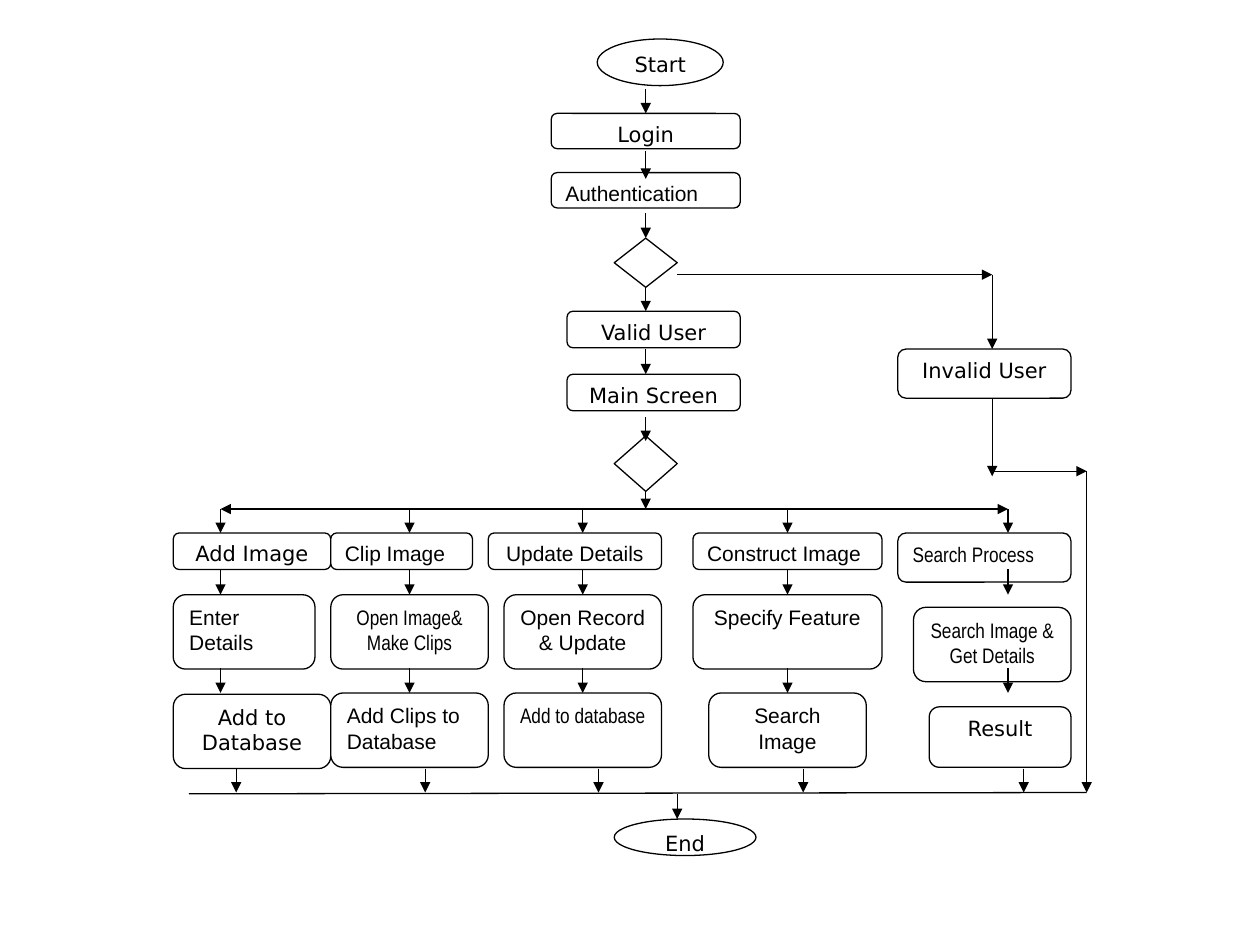
from typing import NamedTuple

from lxml.etree import SubElement
from pptx import Presentation
from pptx.dml.color import RGBColor
from pptx.enum.shapes import MSO_CONNECTOR, MSO_SHAPE
from pptx.enum.text import MSO_ANCHOR, PP_ALIGN
from pptx.oxml.ns import qn
from pptx.util import Inches, Pt

COL = Inches(10) / 80
ROW = Inches(7.5) / 75
INK = "000000"
PAPER = "FFFFFF"
SANS = "DejaVu Sans"
ARIAL = "Arial"
SLIM = "Arial Narrow"
MID = PP_ALIGN.CENTER
LEFT = PP_ALIGN.LEFT
ROUND = MSO_SHAPE.ROUNDED_RECTANGLE
OVAL = MSO_SHAPE.OVAL
FORK = MSO_SHAPE.FLOWCHART_DECISION


class Node(NamedTuple):
    text: str
    col: float
    row: float
    wide: float
    high: float
    font: str = SANS
    align: PP_ALIGN = MID
    kind: MSO_SHAPE = ROUND


class Link(NamedTuple):
    col: float
    row: float
    to_col: float
    to_row: float
    head: bool = True


NODES = [
    Node("Start", 37.92, 3.1, 8, 3.7, kind=OVAL),
    Node("Login", 35, 9, 12, 2.8),
    Node("Authentication", 35, 13.7, 12, 2.8, ARIAL, LEFT),
    Node("", 39, 18.9, 4, 3.9, kind=FORK),
    Node("Valid User", 36, 24.7, 11, 2.9),
    Node("Invalid User", 57, 27.7, 11, 3.9),
    Node("Main Screen", 36, 29.7, 11, 2.9),
    Node("", 39, 34.6, 4, 4.4, kind=FORK),
    Node("Add Image", 11, 42.3, 10, 2.9),
    Node("Enter Details", 11, 47.2, 9, 5.9, ARIAL, LEFT),
    Node("Add to Database", 11, 55.1, 10, 5.9),
    Node("Clip Image", 21, 42.3, 9, 2.9, ARIAL, LEFT),
    Node("Open Image& Make Clips", 21, 47.2, 10, 5.9, SLIM),
    Node("Add Clips to Database", 21, 55, 10, 5.9, ARIAL, LEFT),
    Node("Update Details", 31, 42.3, 11, 2.9, ARIAL),
    Node("Open Record & Update", 32, 47.2, 10, 5.9, ARIAL),
    Node("Add to database", 32, 55, 10, 5.9, SLIM),
    Node("Construct Image", 44, 42.3, 12, 2.9, ARIAL, LEFT),
    Node("Specify Feature", 44, 47.2, 12, 5.9, ARIAL),
    Node("Search Image", 45, 55, 10, 5.9, ARIAL),
    Node("Search Process", 57, 42.3, 11, 3.9, SLIM, LEFT),
    Node("Search Image & Get Details", 58, 48.2, 10, 5.9, SLIM),
    Node("Result", 59, 56.1, 9, 4.8),
    Node("End", 39, 65, 9, 2.9, kind=OVAL),
]

TRUNK = [(7.1, 9), (12, 14.2), (16.9, 18.9), (22.8, 24.7),
         (27.7, 29.7), (33.1, 35), (39, 40.4)]
LANES = [14, 26, 37, 50, 64]
STEPS = [(40.4, 42.3, 0), (45.2, 47.2, 0), (53, 55, 0), (61, 62.9, 1)]

LINKS = [
    *(Link(41, top, 41, end) for top, end in TRUNK),
    Link(43, 21.8, 63, 21.8),
    Link(63, 21.8, 63, 27.7),
    Link(63, 31.6, 63, 37.8),
    Link(63, 37.4, 69, 37.4),
    Link(69, 37.4, 69, 62.9),
    Link(40, 40.4, LANES[0], 40.4),
    Link(40, 40.4, LANES[-1], 40.4),
    *(Link(lane + shift, top, lane + shift, end)
      for lane in LANES for top, end, shift in STEPS),
    Link(12, 63, 69, 62.9, False),
    Link(43, 63, 43, 65),
]


def tint(code: str) -> RGBColor:
    return RGBColor.from_string(code)


def across(cols: float) -> int:
    return round(cols * COL)


def down(rows: float) -> int:
    return round(rows * ROW)


def draw_node(slide, node: Node) -> None:
    shape = slide.shapes.add_shape(
        node.kind, across(node.col), down(node.row),
        across(node.wide), down(node.high))
    shape.shadow.inherit = False
    shape.fill.solid()
    shape.fill.fore_color.rgb = tint(PAPER)
    shape.line.color.rgb = tint(INK)
    shape.line.width = Pt(0.75)
    if not node.text:
        return
    frame = shape.text_frame
    frame.text = node.text
    frame.word_wrap = True
    frame.vertical_anchor = MSO_ANCHOR.TOP
    para = frame.paragraphs[0]
    para.alignment = node.align
    font = para.runs[0].font
    font.name = node.font
    font.size = Pt(12)
    font.color.rgb = tint(INK)


def draw_link(slide, link: Link) -> None:
    line = slide.shapes.add_connector(
        MSO_CONNECTOR.STRAIGHT, across(link.col), down(link.row),
        across(link.to_col), down(link.to_row))
    line.line.color.rgb = tint(INK)
    line.line.width = Pt(0.75)
    props = line._element.spPr
    if link.head:
        SubElement(props.find(qn("a:ln")), qn("a:tailEnd"), type="triangle")
    SubElement(props, qn("a:effectLst"))


def main() -> None:
    deck = Presentation()
    deck.slide_width = Inches(10)
    deck.slide_height = Inches(7.5)
    slide = deck.slides.add_slide(deck.slide_layouts[6])
    for node in NODES:
        draw_node(slide, node)
    for link in LINKS:
        draw_link(slide, link)
    deck.save("out.pptx")


if __name__ == "__main__":
    main()
